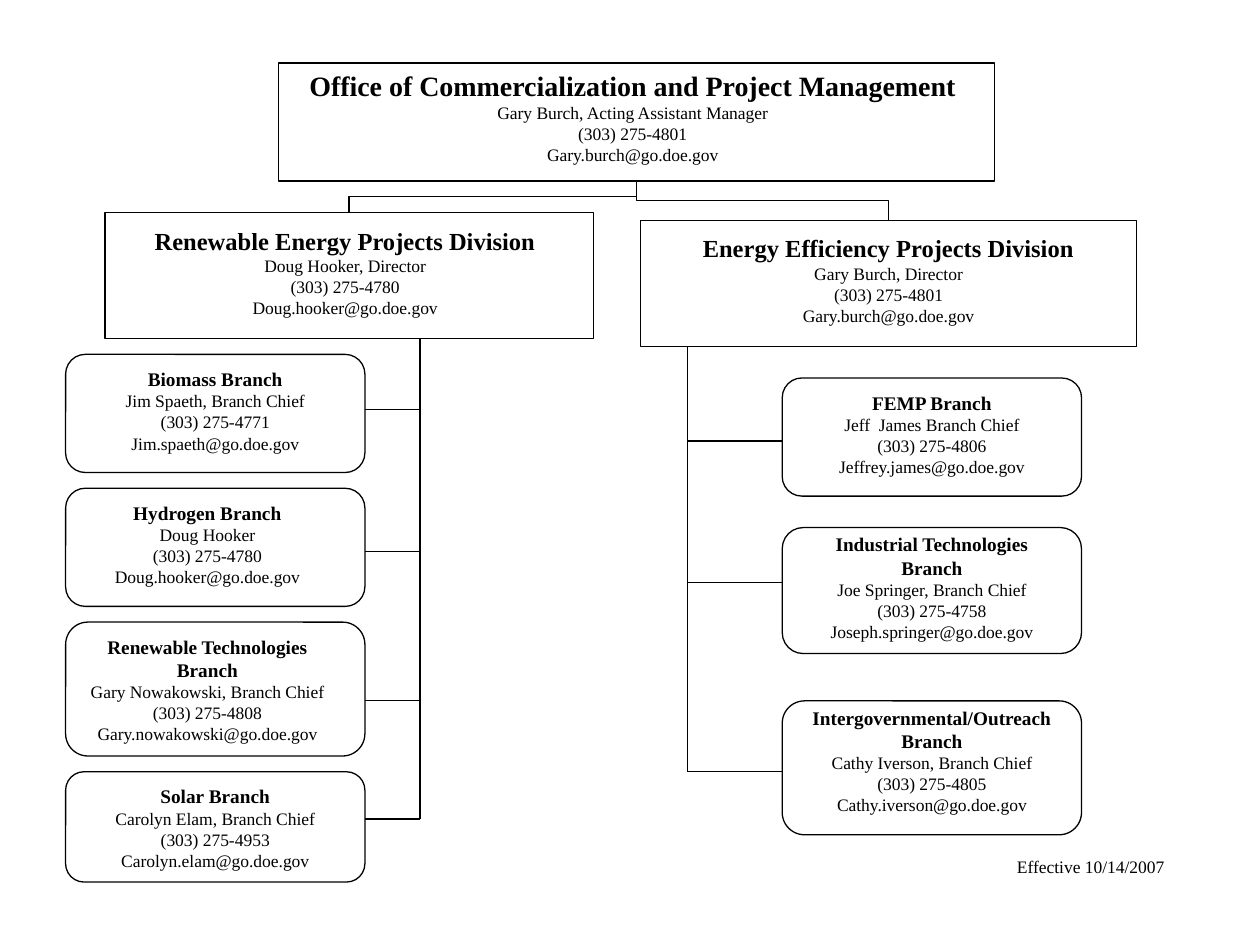
from lxml.etree import SubElement
from pptx import Presentation
from pptx.dml.color import RGBColor
from pptx.enum.shapes import MSO_CONNECTOR as Connector, MSO_SHAPE as Preset
from pptx.enum.text import MSO_ANCHOR as Anchor, MSO_AUTO_SIZE as AutoSize, PP_ALIGN as Align
from pptx.oxml.ns import qn
from pptx.util import Inches, Pt

COLUMNS_PER_INCH, ROWS_PER_INCH = 48, 16
INK = "000000"
FONT = "Times New Roman"
BRANCH_WIDTH = 114

DIVISIONS = [
    ((40, 27, 186, 16), (55, 28, 153, 14),
     ["Renewable Energy Projects Division", "Doug Hooker, Director",
      "(303) 275-4780", "Doug.hooker@go.doe.gov"]),
    ((244, 28, 189, 16), (250, 29, 177, 14),
     ["Energy Efficiency Projects Division", "Gary Burch, Director",
      "(303) 275-4801", "Gary.burch@go.doe.gov"]),
]
# box row, box rows, text column, text row, connector row, lines
RENEWABLE_BRANCHES = [
    (45, 15, 31, 46, 52, ["Biomass Branch", "Jim Spaeth, Branch Chief",
                          "(303) 275-4771", "Jim.spaeth@go.doe.gov"]),
    (62, 15, 28, 63, 70, ["Hydrogen Branch", "Doug Hooker",
                          "(303) 275-4780", "Doug.hooker@go.doe.gov"]),
    (79, 17, 28, 80, 89, ["Renewable Technologies Branch", "Gary Nowakowski, Branch Chief",
                          "(303) 275-4808", "Gary.nowakowski@go.doe.gov"]),
    (98, 14, 31, 99, 104, ["Solar Branch", "Carolyn Elam, Branch Chief",
                           "(303) 275-4953", "Carolyn.elam@go.doe.gov"]),
]
EFFICIENCY_BRANCHES = [
    (48, 15, 304, 49, 56, ["FEMP Branch", "Jeff  James Branch Chief",
                           "(303) 275-4806", "Jeffrey.james@go.doe.gov"]),
    (67, 16, 304, 67, 74, ["Industrial Technologies Branch", "Joe Springer, Branch Chief",
                           "(303) 275-4758", "Joseph.springer@go.doe.gov"]),
    (89, 17, 304, 89, 98, ["Intergovernmental/Outreach Branch", "Cathy Iverson, Branch Chief",
                           "(303) 275-4805", "Cathy.iverson@go.doe.gov"]),
]


def color(value):
    return RGBColor.from_string(value)


def across(columns):
    return Inches(columns / COLUMNS_PER_INCH)


def down(rows):
    return Inches(rows / ROWS_PER_INCH)


def place(column, row, columns, rows):
    return across(column), down(row), across(columns), down(rows)


def style_line(line):
    line.color.rgb = color(INK)
    line.width = Pt(0.75)


def add_box(slide, grid, preset=Preset.RECTANGLE):
    shape = slide.shapes.add_shape(preset, *place(*grid))
    shape.shadow.inherit = False
    shape.fill.background()
    style_line(shape.line)
    return shape


def write(shape, lines, size=10, bold=False, align=Align.CENTER):
    frame = shape.text_frame
    frame.word_wrap = True
    frame.auto_size = AutoSize.NONE
    frame.vertical_anchor = Anchor.TOP
    frame.margin_left = frame.margin_right = Inches(0.05)
    frame.margin_top = frame.margin_bottom = Inches(0.04)
    frame.text = "\n".join(lines)
    for index, paragraph in enumerate(frame.paragraphs):
        paragraph.alignment = align
        font = paragraph.font
        font.name = FONT
        font.size = Pt(size if index == 0 else 10)
        font.bold = bold and index == 0
        font.color.rgb = color(INK)


def add_text(slide, grid, lines, **style):
    write(slide.shapes.add_textbox(*place(*grid)), lines, **style)


def add_title(slide, grid, lines, **style):
    title = slide.shapes.title
    title.left, title.top, title.width, title.height = place(*grid)
    write(title, lines, **style)


def add_connector(slide, kind, start, end):
    connector = slide.shapes.add_connector(
        kind, across(start[0]), down(start[1]), across(end[0]), down(end[1]))
    style_line(connector.line)
    SubElement(connector._element.spPr, qn("a:effectLst"))
    return connector


def add_elbow(slide, parent, child):
    connector = add_connector(slide, Connector.ELBOW, (0, 0), (1, 1))
    connector.begin_connect(parent, 2)
    connector.end_connect(child, 0)
    start_x, start_y = parent.left + parent.width // 2, parent.top + parent.height
    end_x, end_y = child.left + child.width // 2, child.top
    drop, reach = end_y - start_y, abs(end_x - start_x)
    connector.left = (start_x + end_x - drop) // 2
    connector.top = (start_y + end_y - reach) // 2
    connector.width, connector.height = drop, reach
    to_right = end_x > start_x
    frame = connector._element.spPr.find(qn("a:xfrm"))
    frame.set("rot", str((270 if to_right else 90) * 60000))
    frame.set("flipH", "1" if to_right else "0")
    frame.set("flipV", "0")


def add_branches(slide, branches, column, edge, stem, stem_row):
    for row, rows, text_column, text_row, link_row, lines in branches:
        add_box(slide, (column, row, BRANCH_WIDTH, rows), Preset.ROUNDED_RECTANGLE)
        add_text(slide, (text_column, text_row, 102, rows - 1), lines, size=11, bold=True)
        add_connector(slide, Connector.STRAIGHT, (edge, link_row), (stem, link_row))
    add_connector(slide, Connector.STRAIGHT, (stem, stem_row), (stem, branches[-1][4]))


def main():
    presentation = Presentation()
    presentation.slide_width, presentation.slide_height = Inches(10), Inches(7.5)
    slide = presentation.slides.add_slide(presentation.slide_layouts[5])

    office = add_box(slide, (106, 8, 273, 15))
    add_title(slide, (112, 8, 258, 14),
              ["Office of Commercialization and Project Management",
               "Gary Burch, Acting Assistant Manager",
               "(303) 275-4801", "Gary.burch@go.doe.gov"], size=16, bold=True)
    for box_grid, text_grid, lines in DIVISIONS:
        division = add_box(slide, box_grid)
        add_text(slide, text_grid, lines, size=14, bold=True)
        add_elbow(slide, office, division)

    add_branches(slide, RENEWABLE_BRANCHES, 25, 25 + BRANCH_WIDTH, 160, 43)
    add_branches(slide, EFFICIENCY_BRANCHES, 298, 298, 262, 44)
    add_text(slide, (385, 108, 66, 4), ["Effective 10/14/2007"], align=Align.LEFT)
    presentation.save("out.pptx")


if __name__ == "__main__":
    main()
